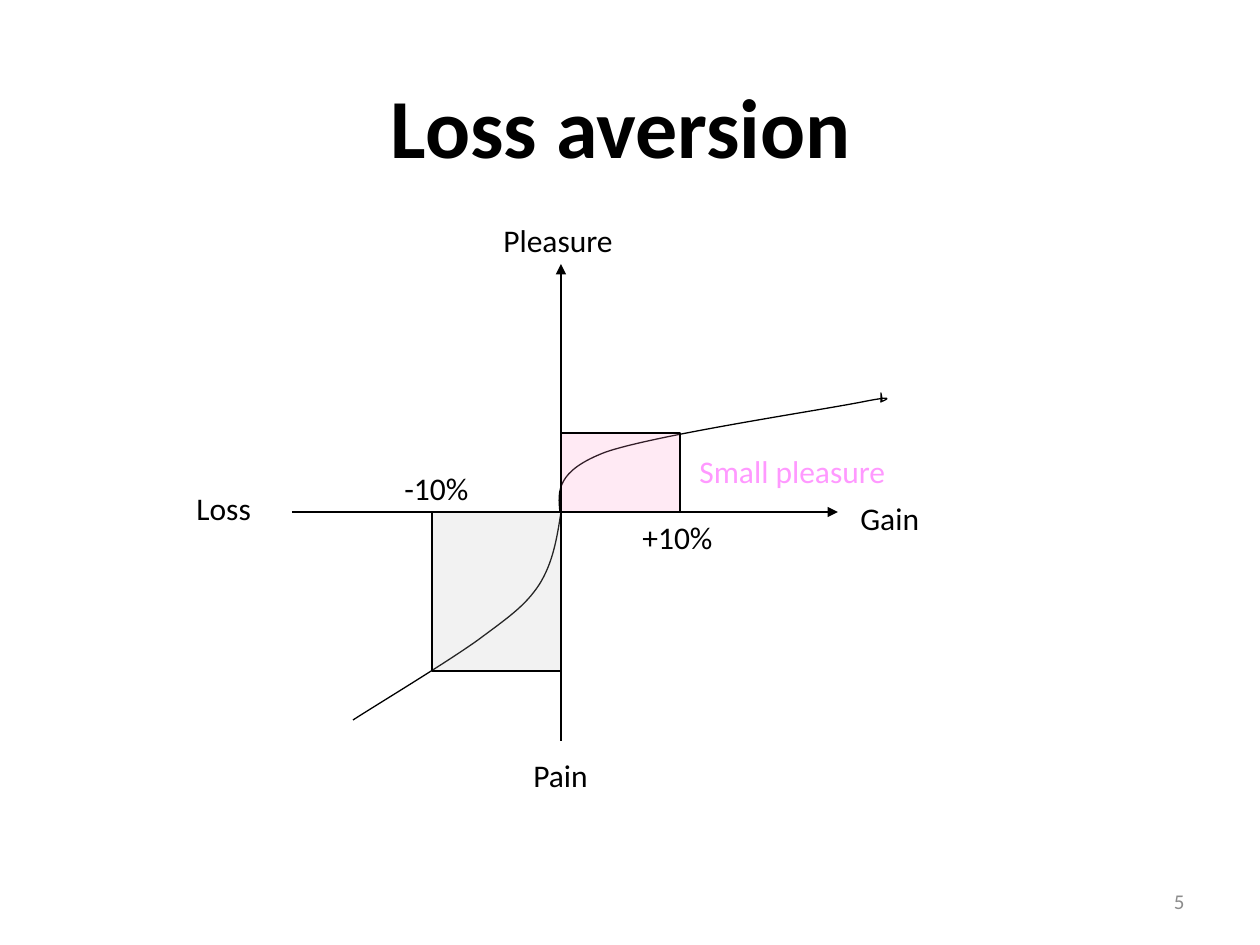
from dataclasses import dataclass

from lxml.etree import SubElement
from pptx import Presentation
from pptx.dml.color import RGBColor
from pptx.enum.shapes import MSO_CONNECTOR, MSO_SHAPE
from pptx.enum.text import MSO_ANCHOR as Anchor, MSO_AUTO_SIZE as AutoSize, PP_ALIGN as Align
from pptx.oxml.ns import qn
from pptx.util import Emu, Pt

PX = 914400 // 126
FONT = "Calibri"
BLACK = RGBColor(0x00, 0x00, 0x00)
GREY = RGBColor(0x8C, 0x8C, 0x8C)
SILVER = RGBColor(0xC0, 0xC0, 0xC0)
ROSE = RGBColor(0xFF, 0x99, 0xCC)
PINK = RGBColor(0xFF, 0x99, 0xFF)
ORIGIN_X, ORIGIN_Y = 561, 512

Point = tuple[int, int]


@dataclass(frozen=True)
class Label:
    text: str
    left: int
    top: int
    width: int
    color: RGBColor = BLACK


@dataclass(frozen=True)
class Axis:
    start: Point
    end: Point


@dataclass(frozen=True)
class Area:
    left: int
    top: int
    width: int
    height: int
    color: RGBColor


LABELS = [
    Label("Gain", 848, 493, 92),
    Label("Loss", 184, 483, 92),
    Label("Pleasure", 491, 215, 150),
    Label("Pain", 521, 750, 88),
    Label("+10%", 630, 512, 107),
    Label("-10%", 392, 463, 98),
    Label("Small pleasure", 687, 446, 233, PINK),
]
AXES = [
    Axis((292, ORIGIN_Y), (838, ORIGIN_Y)),
    Axis((ORIGIN_X, 741), (ORIGIN_X, 264)),
]
AREAS = [
    Area(432, ORIGIN_Y, ORIGIN_X - 432, 159, SILVER),
    Area(ORIGIN_X, 433, 119, ORIGIN_Y - 433, ROSE),
]
GAIN_CURVE = [
    (560, 512), (558, 491), (556, 471), (606, 452),
    (656, 435), (816, 411), (862, 402),
    (907, 393), (877, 403), (881, 402),
    (883, 401), (881, 393), (881, 393),
    (881, 393), (881, 401), (881, 402),
]
LOSS_CURVE = [
    (ORIGIN_X, ORIGIN_Y), (557, 538), (553, 563), (539, 585),
    (525, 606), (509, 617), (478, 640),
    (446, 663), (373, 707), (353, 720),
]


def emu(pixels: int) -> Emu:
    return Emu(pixels * PX)


def write(frame, text: str, *, size: int, color: RGBColor = BLACK, bold: bool = False,
          align=Align.LEFT, anchor=Anchor.TOP, wrap: bool = False,
          auto_size=AutoSize.NONE) -> None:
    frame.word_wrap = wrap
    frame.auto_size = auto_size
    frame.vertical_anchor = anchor
    paragraph = frame.paragraphs[0]
    paragraph.alignment = align
    run = paragraph.add_run()
    run.text = text
    run.font.name = FONT
    run.font.size = Pt(size)
    run.font.bold = bold
    run.font.color.rgb = color


def outline(shape) -> None:
    shape.line.color.rgb = BLACK
    shape.line.width = Pt(0.75)


def draw_axis(shapes, axis: Axis) -> None:
    arrow = shapes.add_connector(MSO_CONNECTOR.STRAIGHT, *map(emu, axis.start + axis.end))
    outline(arrow)
    SubElement(arrow.line._get_or_add_ln(), qn("a:tailEnd"), type="triangle")
    SubElement(arrow._element.spPr, qn("a:effectLst"))


def draw_curve(shapes, knots: list[Point]) -> None:
    builder = shapes.build_freeform(*knots[0], scale=PX)
    builder.add_line_segments(knots[1:], close=False)
    curve = builder.convert_to_shape()
    outline_path = next(curve._element.iter(qn("a:path")))
    segments = outline_path.findall(qn("a:lnTo"))
    for first in range(0, len(segments), 3):
        cubic = SubElement(outline_path, qn("a:cubicBezTo"))
        for segment in segments[first:first + 3]:
            cubic.append(segment[0])
            outline_path.remove(segment)
    curve.shadow.inherit = False
    curve.fill.background()
    outline(curve)


def draw_area(shapes, area: Area) -> None:
    box = shapes.add_shape(
        MSO_SHAPE.RECTANGLE, *map(emu, (area.left, area.top, area.width, area.height)))
    box.shadow.inherit = False
    box.fill.solid()
    box.fill.fore_color.rgb = area.color
    fill_color = box._element.spPr.find(qn("a:solidFill")).find(qn("a:srgbClr"))
    SubElement(fill_color, qn("a:alpha"), val="20000")
    outline(box)


def draw_label(shapes, label: Label) -> None:
    box = shapes.add_textbox(*map(emu, (label.left, label.top, label.width, 50)))
    write(box.text_frame, label.text, size=18, color=label.color,
          auto_size=AutoSize.SHAPE_TO_FIT_TEXT)


def main() -> None:
    deck = Presentation()
    deck.slide_width, deck.slide_height = emu(1260), emu(945)
    slide = deck.slides.add_slide(deck.slide_layouts[5])
    shapes = slide.shapes

    title = shapes.title
    title.left, title.top, title.width, title.height = map(emu, (54, 55, 1134, 139))
    write(title.text_frame, "Loss aversion", size=48, bold=True,
          align=Align.CENTER, anchor=Anchor.MIDDLE, wrap=True)

    page_number = shapes.add_textbox(*map(emu, (903, 876, 294, 50)))
    write(page_number.text_frame, "5", size=12, color=GREY,
          align=Align.RIGHT, anchor=Anchor.MIDDLE, wrap=True)

    for axis in AXES:
        draw_axis(shapes, axis)
    for curve in (GAIN_CURVE, LOSS_CURVE):
        draw_curve(shapes, curve)
    for area in AREAS:
        draw_area(shapes, area)
    for label in LABELS:
        draw_label(shapes, label)

    deck.save("out.pptx")


main()
